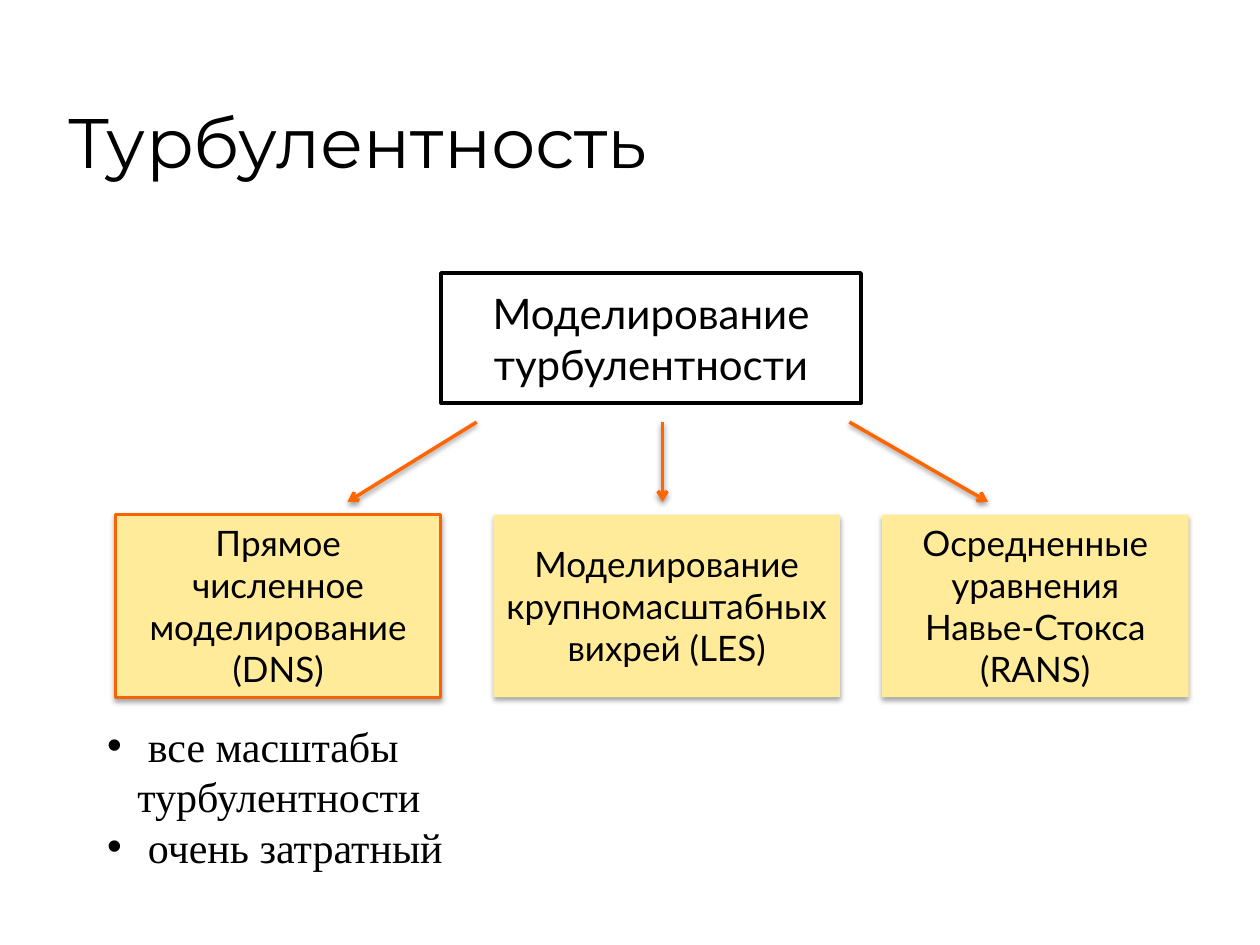
from dataclasses import dataclass
from typing import Optional

from lxml.etree import SubElement
from pptx import Presentation
from pptx.dml.color import RGBColor
from pptx.enum.shapes import MSO_CONNECTOR, MSO_SHAPE
from pptx.enum.text import MSO_ANCHOR, MSO_AUTO_SIZE, PP_ALIGN
from pptx.oxml.ns import qn
from pptx.util import Inches, Pt

BLACK = RGBColor(0x00, 0x00, 0x00)
WHITE = RGBColor(0xFF, 0xFF, 0xFF)
YELLOW = RGBColor(0xFF, 0xEB, 0x99)
ORANGE = RGBColor(0xFF, 0x66, 0x00)
DARK_ORANGE = RGBColor(0xF9, 0x64, 0x00)

CELL = Inches(1) / 12  # the slide is a grid of 120 columns by 90 rows
METHOD_ROW, METHOD_ROWS = 49, 17.4
ARROW_START_ROW, ARROW_END_ROW = 40.2, 47.8


@dataclass(frozen=True)
class Box:
    text: str
    column: float
    row: float
    columns: float
    rows: float
    fill: RGBColor = YELLOW
    line: Optional[RGBColor] = None
    line_width: float = 1.75
    font_size: int = 20
    shadow: bool = True


@dataclass(frozen=True)
class Arrow:
    start_column: float
    end_column: float


ROOT = Box("Моделирование турбулентности", 42, 26, 40, 12.4,
           fill=WHITE, line=BLACK, line_width=2, font_size=24, shadow=False)
METHODS = [
    Box("Прямое численное моделирование (DNS)", 11, METHOD_ROW, 31, METHOD_ROWS,
        line=DARK_ORANGE),
    Box("Моделирование крупномасштабных вихрей (LES)", 47, METHOD_ROW, 33, METHOD_ROWS),
    Box("Осредненные уравнения Навье-Стокса (RANS)", 84, METHOD_ROW, 29.2, METHOD_ROWS),
]
ARROWS = [Arrow(45.4, 33.1), Arrow(63.1, 63.1), Arrow(80.9, 94.1)]
DNS_FEATURES = [" все масштабы турбулентности", " очень затратный"]


def grid(cells: float) -> int:
    return round(cells * CELL)


def place(shape, column: float, row: float, columns: float, rows: float) -> None:
    shape.left, shape.top = grid(column), grid(row)
    shape.width, shape.height = grid(columns), grid(rows)


def format_runs(paragraph, font_name: str, size: int) -> None:
    for run in paragraph.runs:
        run.font.name = font_name
        run.font.size = Pt(size)
        run.font.color.rgb = BLACK


def add_shadow(shape, opacity: int, distance: float) -> None:
    """Cast a soft black shadow straight down; call after the line is set."""
    effects = SubElement(shape._element.spPr, qn("a:effectLst"))
    shadow = SubElement(effects, qn("a:outerShdw"), blurRad=str(Pt(3.1)),
                        dist=str(Pt(distance)), dir="5400000", rotWithShape="0")
    color = SubElement(shadow, qn("a:srgbClr"), val=str(BLACK))
    SubElement(color, qn("a:alpha"), val=str(opacity * 1000))


def draw_box(slide, box: Box) -> None:
    shape = slide.shapes.add_shape(
        MSO_SHAPE.RECTANGLE, grid(box.column), grid(box.row),
        grid(box.columns), grid(box.rows))
    shape.fill.solid()
    shape.fill.fore_color.rgb = box.fill
    if box.line is None:
        shape.line.fill.background()
    else:
        shape.line.color.rgb = box.line
        shape.line.width = Pt(box.line_width)
    if box.shadow:
        add_shadow(shape, opacity=35, distance=1.8)
    else:
        shape.shadow.inherit = False
    text_frame = shape.text_frame
    text_frame.text = box.text
    text_frame.word_wrap = True
    text_frame.vertical_anchor = MSO_ANCHOR.MIDDLE
    paragraph = text_frame.paragraphs[0]
    paragraph.alignment = PP_ALIGN.CENTER
    format_runs(paragraph, "Lato", box.font_size)


def draw_arrow(slide, arrow: Arrow) -> None:
    connector = slide.shapes.add_connector(
        MSO_CONNECTOR.STRAIGHT, grid(arrow.start_column), grid(ARROW_START_ROW),
        grid(arrow.end_column), grid(ARROW_END_ROW))
    connector.line.color.rgb = ORANGE
    connector.line.width = Pt(2)
    SubElement(connector.line._get_or_add_ln(), qn("a:tailEnd"), type="arrow")
    add_shadow(connector, opacity=38, distance=1.6)


def fill_title(title) -> None:
    place(title, 5.3, 3, 102, 15)
    text_frame = title.text_frame
    text_frame.text = "Турбулентность"
    text_frame.auto_size = MSO_AUTO_SIZE.NONE
    text_frame.vertical_anchor = MSO_ANCHOR.BOTTOM
    text_frame.paragraphs[0].alignment = PP_ALIGN.LEFT
    format_runs(text_frame.paragraphs[0], "Montserrat", 40)


def fill_list(body) -> None:
    place(body, 9, 68, 57.2, 10.9)
    text_frame = body.text_frame
    text_frame.text = "\n".join(DNS_FEATURES)
    text_frame.auto_size = MSO_AUTO_SIZE.NONE
    text_frame.word_wrap = True
    for paragraph in text_frame.paragraphs:
        paragraph.space_before = Pt(0)
        properties = paragraph._p.get_or_add_pPr()
        properties.set("marL", str(Inches(0.24)))
        properties.set("indent", str(-Inches(0.24)))
        SubElement(properties, qn("a:buFont"), typeface="Arial")
        SubElement(properties, qn("a:buChar"), char="•")
        format_runs(paragraph, "Times New Roman", 24)


def main() -> None:
    presentation = Presentation()
    presentation.slide_width, presentation.slide_height = Inches(10), Inches(7.5)
    slide = presentation.slides.add_slide(presentation.slide_layouts[1])
    fill_title(slide.shapes.title)
    fill_list(slide.placeholders[1])
    draw_box(slide, ROOT)
    for arrow in ARROWS:
        draw_arrow(slide, arrow)
    for method in METHODS:
        draw_box(slide, method)
    presentation.save("out.pptx")


if __name__ == "__main__":
    main()
